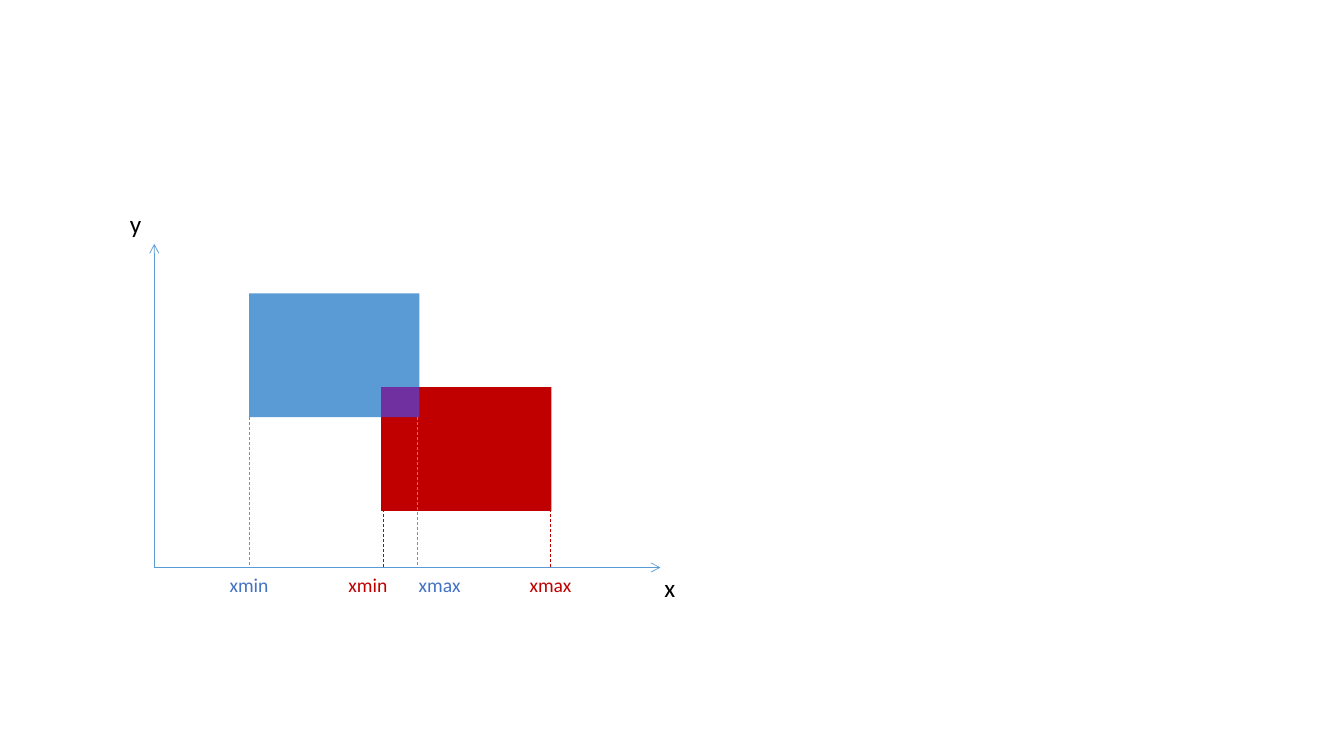
import pptx
import pptx.util
import pptx.dml.color
import pptx.enum.dml
import pptx.enum.shapes
import pptx.enum.text
import pptx.oxml
import pptx.oxml.ns

Inches = pptx.util.Inches
HUES = {"sky": "5B9BD5", "red": "C00000", "plum": "7030A0", "blue": "4472C4", "black": "000000"}


class Chart:
    font = "Calibri"
    width = 0.5

    def __init__(self, slide):
        self.shapes = slide.shapes

    def hue(self, name):
        return pptx.dml.color.RGBColor.from_string(HUES[name])

    def box(self, left, top, width, height, hue):
        shape = self.shapes.add_shape(
            pptx.enum.shapes.MSO_SHAPE.RECTANGLE,
            Inches(left), Inches(top), Inches(width), Inches(height))
        shape.shadow.inherit = False
        shape.fill.solid()
        shape.fill.fore_color.rgb = self.hue(hue)
        shape.line.fill.background()

    def line(self, start, end, hue, dash=False, arrow=False):
        line = self.shapes.add_connector(
            pptx.enum.shapes.MSO_CONNECTOR.STRAIGHT,
            *(Inches(n) for n in (*start, *end)))
        line.line.color.rgb = self.hue(hue)
        line.line.width = pptx.util.Pt(self.width)
        if dash:
            line.line.dash_style = pptx.enum.dml.MSO_LINE.DASH
        if arrow:
            tail = pptx.oxml.parse_xml(
                f'<a:tailEnd {pptx.oxml.ns.nsdecls("a")} type="arrow"/>')
            line.line._get_or_add_ln().append(tail)
        props = line._element.spPr
        props.append(props.makeelement(pptx.oxml.ns.qn("a:effectLst"), {}))

    def label(self, text, left, top, width, height, size, hue, center=False):
        box = self.shapes.add_textbox(
            Inches(left), Inches(top), Inches(width), Inches(height))
        frame = box.text_frame
        frame.word_wrap = False
        frame.auto_size = pptx.enum.text.MSO_AUTO_SIZE.SHAPE_TO_FIT_TEXT
        para = frame.paragraphs[0]
        para.text = text
        para.font.name = self.font
        para.font.size = pptx.util.Pt(size)
        para.font.color.rgb = self.hue(hue)
        if center:
            para.alignment = pptx.enum.text.PP_ALIGN.CENTER


def main():
    deck = pptx.Presentation()
    deck.slide_width, deck.slide_height = Inches(13.33), Inches(7.5)
    chart = Chart(deck.slides.add_slide(deck.slide_layouts[6]))

    left, base = 1.53, 5.63
    for end in ((left, 2.42), (6.55, base)):
        chart.line((left, base), end, "sky", arrow=True)

    wide, high = 1.69, 1.23
    blue, red = (2.47, 2.91), (3.78, 3.84)
    chart.box(*blue, wide, high, "sky")
    chart.box(*red, wide, high, "red")
    chart.box(*red, blue[0] + wide - red[0], blue[1] + high - red[1], "plum")

    for text, x, y in (("y", 1.19, 2.02), ("x", 6.49, base)):
        chart.label(text, x, y, 0.35, 0.4, 18, "black")

    for x, top, hue in ((2.47, 4.14, "sky"), (4.14, 4.14, "sky"),
                        (5.46, 5.05, "red"), (3.8, 5.05, "red")):
        chart.line((x, top), (x, base), hue, dash=True)

    for text, x, width, hue in (("xmin", 2.13, 0.68, "blue"), ("xmax", 3.99, 0.74, "blue"),
                                ("xmax", 5.09, 0.74, "red"), ("xmin", 3.31, 0.68, "red")):
        chart.label(text, x, base, width, 0.34, 14, hue, center=True)

    deck.save("out.pptx")


if __name__ == "__main__":
    main()
